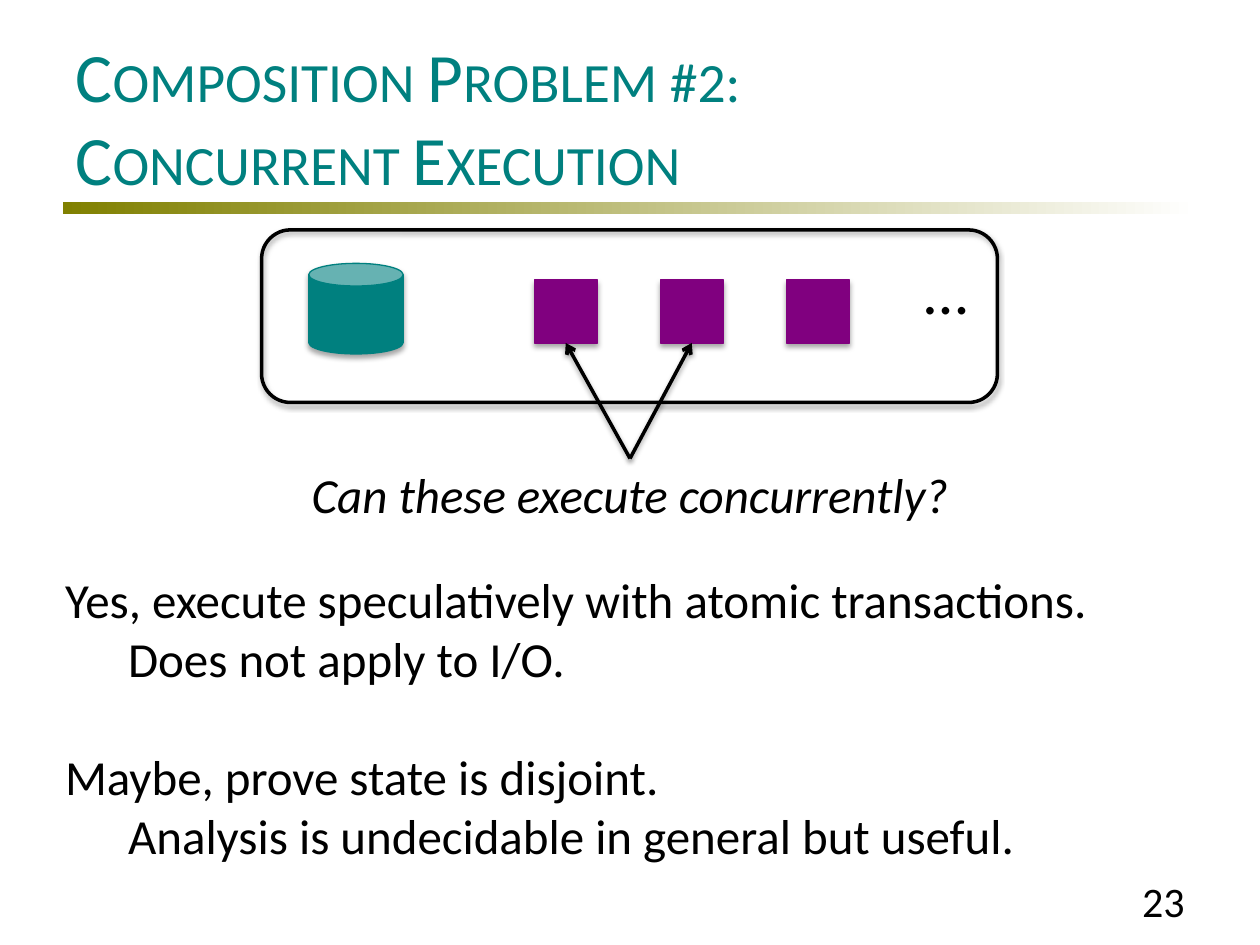
import pptx
import pptx.util
import pptx.dml.color
import pptx.enum.shapes
import pptx.enum.text
import pptx.oxml
import pptx.oxml.ns
from lxml import etree

Pt = pptx.util.Pt
qn = pptx.oxml.ns.qn
KIND = pptx.enum.shapes.MSO_SHAPE
ALIGN = pptx.enum.text.PP_ALIGN
ANCHOR = pptx.enum.text.MSO_ANCHOR
HUES = {"teal": "00807F", "plum": "80007F", "olive": "808000",
        "black": "000000", "white": "FFFFFF"}


def hue(name):
    return pptx.dml.color.RGBColor.from_string(HUES[name])


class Deck:
    face = "Calibri"

    def __init__(self):
        self.file = pptx.Presentation()
        self.file.slide_width, self.file.slide_height = Pt(720), Pt(540)
        self.slide = self.file.slides.add_slide(self.file.slide_layouts[1])
        self.shapes = self.slide.shapes

    def style(self, frame, size, color="black", align=ALIGN.LEFT, italic=False):
        frame.word_wrap = True
        frame.auto_size = pptx.enum.text.MSO_AUTO_SIZE.NONE
        for para in frame.paragraphs:
            para.alignment = align
            for run in para.runs:
                run.font.name = self.face
                run.font.size = Pt(size)
                run.font.italic = italic
                run.font.color.rgb = hue(color)

    def place(self, shape, box):
        shape.left, shape.top, shape.width, shape.height = map(Pt, box)

    def title(self, text, box):
        shape = self.shapes.title
        self.place(shape, box)
        frame = shape.text_frame
        frame.text = text
        frame.vertical_anchor = ANCHOR.MIDDLE
        self.style(frame, 39.6, "teal")
        for run in frame.paragraphs[0].runs:
            run.font._element.set("cap", "small")

    def body(self, items, box, size):
        shape = self.slide.placeholders[1]
        self.place(shape, box)
        frame = shape.text_frame
        frame.text = "\n".join(text for text, _, _ in items)
        for para, (_, inset, gap) in zip(frame.paragraphs, items):
            props = para._p.get_or_add_pPr()
            props.set("marL", str(Pt(inset)))
            props.set("indent", "0")
            etree.SubElement(props, qn("a:buNone"))
            para.space_before = Pt(gap)
        self.style(frame, size)

    def text(self, text, box, size, align=ALIGN.LEFT, italic=False, anchor=ANCHOR.TOP):
        frame = self.shapes.add_textbox(*map(Pt, box)).text_frame
        frame.text = text
        frame.vertical_anchor = anchor
        self.style(frame, size, align=align, italic=italic)

    def shade(self, shape):
        props = shape._element.spPr
        for old in props.findall(qn("a:effectLst")):
            props.remove(old)
        props.append(pptx.oxml.parse_xml(
            f'<a:effectLst {pptx.oxml.ns.nsdecls("a")}>'
            f'<a:outerShdw blurRad="{Pt(3.1)}" dist="{Pt(1.8)}" dir="5400000" rotWithShape="0">'
            f'<a:srgbClr val="{HUES["black"]}"><a:alpha val="35000"/></a:srgbClr>'
            '</a:outerShdw></a:effectLst>'))

    def shape(self, kind, box, fill=None, line="black", width=0.75):
        shape = self.shapes.add_shape(kind, *map(Pt, box))
        if fill:
            shape.fill.solid()
            shape.fill.fore_color.rgb = hue(fill)
        else:
            shape.fill.background()
        shape.line.color.rgb = hue(line)
        shape.line.width = Pt(width)
        self.shade(shape)

    def bar(self, box):
        shape = self.shapes.add_shape(KIND.RECTANGLE, *map(Pt, box))
        shape.shadow.inherit = False
        shape.line.fill.background()
        shape.fill.gradient()
        shape.fill.gradient_angle = 0
        for stop, color, spot in zip(shape.fill.gradient_stops, ("olive", "white"), (0, 1)):
            stop.color.rgb = hue(color)
            stop.position = spot

    def arrow(self, start, end):
        line = self.shapes.add_connector(
            pptx.enum.shapes.MSO_CONNECTOR.STRAIGHT, *map(Pt, start + end))
        line.line.color.rgb = hue("black")
        line.line.width = Pt(2)
        stroke = line._element.spPr.find(qn("a:ln"))
        etree.SubElement(stroke, qn("a:tailEnd")).set("type", "arrow")
        self.shade(line)


def main():
    deck = Deck()
    deck.bar((36, 115.2, 648, 7.2))
    deck.title("Composition Problem #2:\vConcurrent Execution", (36, 21.6, 648, 90))
    deck.body([
        ("Yes, execute speculatively with atomic transactions.", 0, 0),
        ("Does not apply to I/O.", 36, 0),
        ("Maybe, prove state is disjoint.", 0, 33.6),
        ("Analysis is undecidable in general but useful.", 36, 0),
    ], (30, 322, 654, 216), 28)
    deck.text("23", (516, 500.4, 168, 28.8), 24, ALIGN.RIGHT, anchor=ANCHOR.MIDDLE)

    deck.shape(KIND.ROUNDED_RECTANGLE, (149.5, 131.4, 420.5, 98.6), width=2)
    deck.shape(KIND.CAN, (176.4, 150.5, 54, 51.8), "teal", "teal")
    side, top, step = 36, 160, 72
    lefts = [305.3 + step * i for i in range(3)]
    for left in lefts:
        deck.shape(KIND.RECTANGLE, (left, top, side, side), "plum", "plum")
    deck.text("…", (lefts[-1] + step, 140.4, 49, 51), 36)

    deck.text("Can these execute concurrently?", (36, 262, 648, 41), 28, ALIGN.CENTER, True)
    for left in lefts[:2]:
        deck.arrow((360, 262), (left + side / 2, top + side))
    deck.file.save("out.pptx")


if __name__ == "__main__":
    main()
